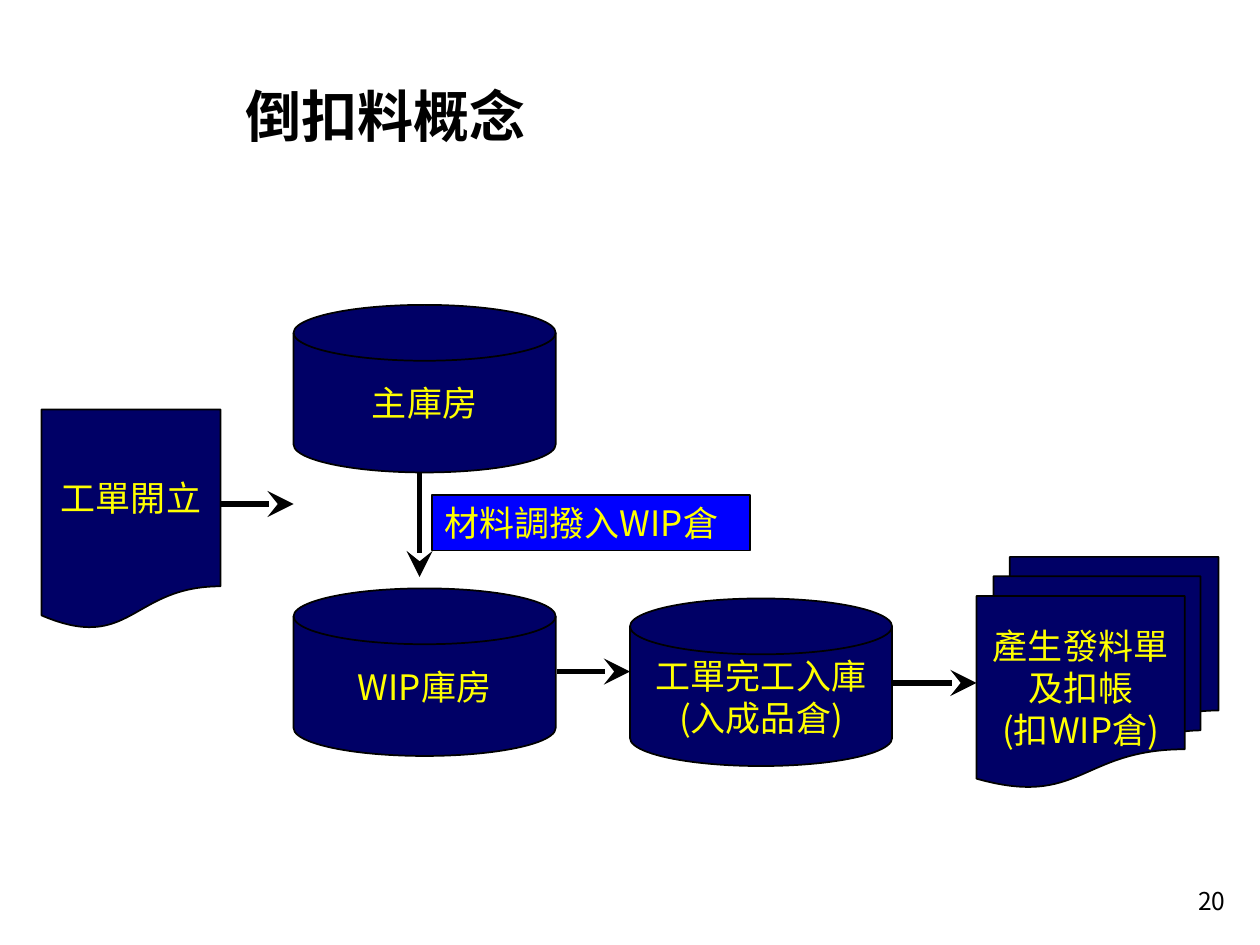
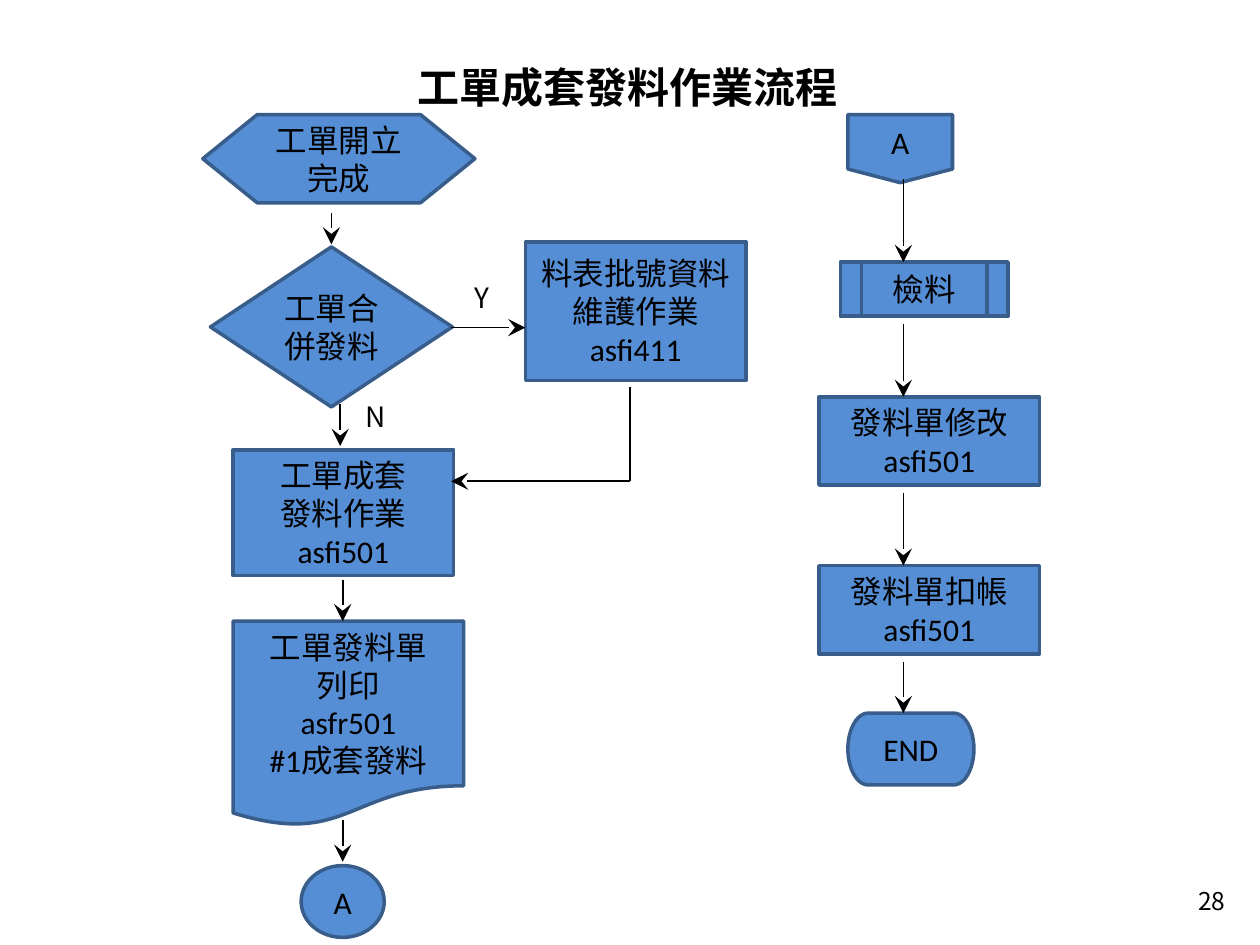
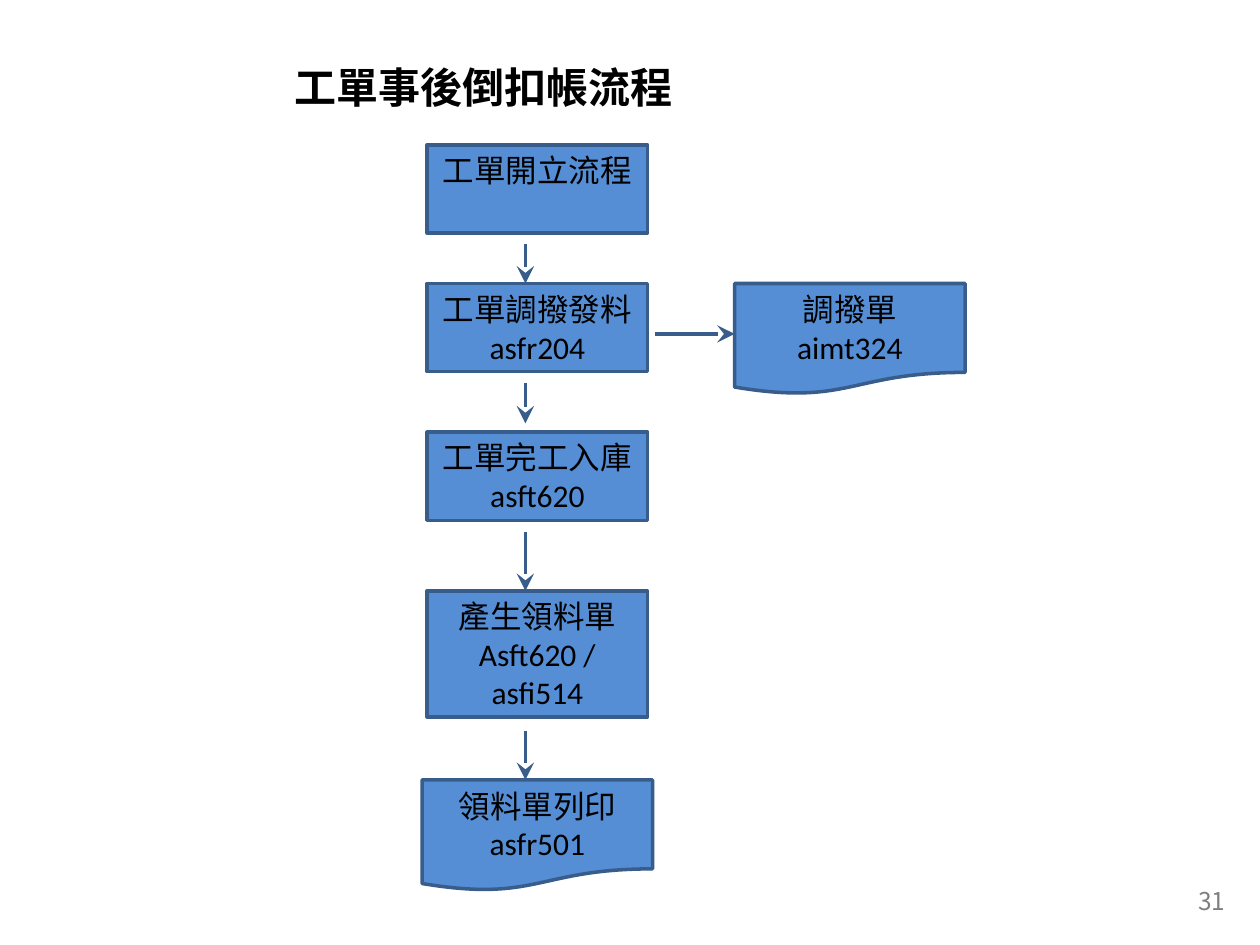
from dataclasses import dataclass

from lxml.etree import SubElement
from pptx import Presentation
from pptx.dml.color import RGBColor
from pptx.enum.shapes import MSO_CONNECTOR as Connector, MSO_SHAPE as Preset
from pptx.enum.text import MSO_ANCHOR as Anchor, MSO_AUTO_SIZE as AutoSize, PP_ALIGN as Align
from pptx.oxml.ns import qn
from pptx.util import Inches, Pt


@dataclass(frozen=True)
class Theme:
    black: str = "000000"
    grey: str = "7F7F7F"
    navy: str = "000066"
    bright_blue: str = "0000FF"
    yellow: str = "FFFF00"
    step_fill: str = "558ED5"
    step_line: str = "385D8A"
    heading_font: str = "Noto Sans CJK TC"
    step_font: str = "Calibri"
    large_title: int = 32
    title: int = 24
    concept: int = 20
    step: int = 18
    branch: int = 16
    page: int = 14
    thin: int = 1
    medium: int = 2
    thick: int = 3


THEME = Theme()


@dataclass(frozen=True)
class Box:
    left: float
    top: float
    width: float
    height: float

    def inner(self, left, top, width, height):
        return Box(self.left + left, self.top + top, width, height)

    def lengths(self):
        return [Inches(value) for value in (self.left, self.top, self.width, self.height)]


def write_text(frame, text, size=THEME.step, color=THEME.black, font=THEME.heading_font,
               bold=False, align=Align.LEFT, anchor=Anchor.TOP, wrap=True):
    frame.auto_size = AutoSize.NONE
    frame.word_wrap = wrap
    frame.vertical_anchor = anchor
    frame.margin_left = frame.margin_right = Inches(0.1)
    frame.margin_top = frame.margin_bottom = Inches(0.05)
    for index, line in enumerate(text.split("\n")):
        paragraph = frame.add_paragraph() if index else frame.paragraphs[0]
        paragraph.alignment = align
        run = paragraph.add_run()
        run.text = line
        run.font.size = Pt(size)
        run.font.bold = bold
        run.font.color.rgb = RGBColor.from_string(color)
        run.font.name = font
        SubElement(run.font._element, qn("a:ea"), typeface=THEME.heading_font)


def add_label(slide, box, text, **text_format):
    label = slide.shapes.add_textbox(*box.lengths())
    write_text(label.text_frame, text, **text_format)


def add_node(slide, preset, box, text, fill, line, line_width, **text_format):
    shape = slide.shapes.add_shape(preset, *box.lengths())
    shape.shadow.inherit = False
    shape.fill.solid()
    shape.fill.fore_color.rgb = RGBColor.from_string(fill)
    shape.line.color.rgb = RGBColor.from_string(line)
    shape.line.width = Pt(line_width)
    write_text(shape.text_frame, text, **text_format)


def add_step(slide, preset, box, text, anchor=Anchor.MIDDLE):
    add_node(slide, preset, box, text, THEME.step_fill, THEME.step_line, THEME.medium,
             font=THEME.step_font, align=Align.CENTER, anchor=anchor)


def add_concept(slide, preset, box, text, fill=THEME.navy, align=Align.CENTER,
                anchor=Anchor.MIDDLE):
    add_node(slide, preset, box, text, fill, THEME.black, THEME.thin, size=THEME.concept,
             color=THEME.yellow, align=align, anchor=anchor, wrap=False)


def add_line(slide, region, start, end, color=THEME.black, width=THEME.thin, arrow=True):
    points = [Inches(value) for x, y in (start, end)
              for value in (region.left + x, region.top + y)]
    connector = slide.shapes.add_connector(Connector.STRAIGHT, *points)
    connector.line.color.rgb = RGBColor.from_string(color)
    connector.line.width = Pt(width)
    if arrow:
        SubElement(connector.line._get_or_add_ln(), qn("a:tailEnd"),
                   type="stealth", w="lg", len="lg")
    SubElement(connector._element.spPr, qn("a:effectLst"))


def add_down_arrows(slide, region, x, spans, **line_format):
    for top, bottom in spans:
        add_line(slide, region, (x, top), (x, bottom), **line_format)


def start_slide(presentation, title, title_box, page, title_size=THEME.title,
                page_color=THEME.black):
    slide = presentation.slides.add_slide(presentation.slide_layouts[5])
    placeholder = slide.shapes.title
    placeholder.left, placeholder.top, placeholder.width, placeholder.height = title_box.lengths()
    write_text(placeholder.text_frame, title, size=title_size, bold=True)
    add_label(slide, Box(9.41, 6.98, 0.59, 0.27), page, size=THEME.page, color=page_color)
    return slide


def draw_backflush_concept(slide, region):
    disk = (2.08, 1.33)
    add_concept(slide, Preset.FLOWCHART_DOCUMENT, region.inner(0, 0.83, 1.42, 1.75), "工單開立")
    for left, top, text in ((2, 0, "主庫房"), (2, 2.25, "WIP庫房"),
                            (4.67, 2.33, "工單完工入庫\n(入成品倉)")):
        add_concept(slide, Preset.FLOWCHART_MAGNETIC_DISK, region.inner(left, top, *disk), text)
    add_concept(slide, Preset.FLOWCHART_MULTIDOCUMENT, region.inner(7.42, 2, 1.92, 1.83),
                "產生發料單\n及扣帳\n(扣WIP倉)")
    for start, end in (((1.42, 1.58), (2, 1.58)), ((3, 1.33), (3, 2.16)),
                       ((4.09, 2.91), (4.67, 2.91)), ((6.75, 3), (7.42, 3))):
        add_line(slide, region, start, end, width=THEME.thick)
    add_concept(slide, Preset.RECTANGLE, region.inner(3.1, 1.51, 2.52, 0.44), "材料調撥入WIP倉",
                fill=THEME.bright_blue, align=Align.LEFT, anchor=Anchor.TOP)


def draw_kit_issue(slide, region):
    for preset, place, text in (
        (Preset.FLOWCHART_PREPARATION, (0, 0, 2.16, 0.7), "工單開立完成"),
        (Preset.FLOWCHART_DECISION, (0.06, 1.05, 1.92, 1.27), "工單合併發料"),
        (Preset.RECTANGLE, (2.56, 1.01, 1.75, 1.1), "料表批號資料維護作業\nasfi411"),
        (Preset.RECTANGLE, (0.24, 2.66, 1.75, 1), "工單成套\n發料作業\nasfi501"),
        (Preset.FLOWCHART_DOCUMENT, (0.24, 4.02, 1.83, 1.63),
         "工單發料單\n列印\nasfr501\n#1成套發料"),
        (Preset.FLOWCHART_CONNECTOR, (0.78, 5.96, 0.66, 0.57), "A"),
    ):
        add_step(slide, preset, region.inner(*place), text)
    for left, top, text in ((2.06, 1.27, "Y"), (1.19, 2.21, "N")):
        add_label(slide, region.inner(left, top, 0.35, 0.37), text, size=THEME.branch, wrap=False)
    add_down_arrows(slide, region, 1.02, [(0.78, 1.03)])
    add_down_arrows(slide, region, 1.09, [(2.3, 2.63)])
    add_down_arrows(slide, region, 1.11, [(3.69, 4.02), (5.6, 5.93)])
    add_line(slide, region, (1.97, 1.69), (2.56, 1.69))
    add_line(slide, region, (3.39, 2.16), (3.39, 2.91), arrow=False)
    add_line(slide, region, (3.39, 2.91), (1.97, 2.91))


def draw_picking(slide, region):
    for preset, place, text in (
        (Preset.FLOWCHART_OFFPAGE_CONNECTOR, (0.23, 0, 0.83, 0.54), "A"),
        (Preset.FLOWCHART_PREDEFINED_PROCESS, (0.17, 1.17, 1.33, 0.43), "檢料"),
        (Preset.RECTANGLE, (0, 2.24, 1.75, 0.7), "發料單修改\nasfi501"),
        (Preset.RECTANGLE, (0, 3.58, 1.75, 0.7), "發料單扣帳\nasfi501"),
        (Preset.FLOWCHART_TERMINATOR, (0.23, 4.75, 1, 0.57), "END"),
    ):
        add_step(slide, preset, region.inner(*place), text)
    add_down_arrows(slide, region, 0.67,
                    [(0.51, 1.17), (1.66, 2.24), (3, 3.58), (4.34, 4.75)])


def draw_backflush_flow(slide, region):
    for top, height, text, anchor in (
        (0, 0.7, "工單開立流程", Anchor.TOP),
        (1.1, 0.7, "工單調撥發料asfr204", Anchor.MIDDLE),
        (2.28, 0.7, "工單完工入庫\nasft620", Anchor.MIDDLE),
        (3.54, 1, "產生領料單\nAsft620 / asfi514", Anchor.MIDDLE),
    ):
        add_step(slide, Preset.RECTANGLE, region.inner(0.04, top, 1.75, height), text, anchor)
    for left, top, text in ((2.48, 1.1, "調撥單\naimt324"), (0, 5.04, "領料單列印\nasfr501")):
        add_step(slide, Preset.FLOWCHART_DOCUMENT, region.inner(left, top, 1.83, 0.88), text)
    arrow_format = dict(color=THEME.step_line, width=THEME.medium)
    add_down_arrows(slide, region, 0.82,
                    [(0.79, 1.1), (1.89, 2.21), (3.07, 3.54), (4.65, 5.04)], **arrow_format)
    add_line(slide, region, (1.85, 1.5), (2.48, 1.5), **arrow_format)


def main():
    presentation = Presentation()
    presentation.slide_width, presentation.slide_height = Inches(10), Inches(7.5)

    concept_slide = start_slide(presentation, "倒扣料概念", Box(1.85, 0.6, 3.35, 0.64), "20",
                                title_size=THEME.large_title)
    draw_backflush_concept(concept_slide, Box(0.33, 2.42, 9.34, 3.83))

    issue_slide = start_slide(presentation, "工單成套發料作業流程", Box(3.21, 0.44, 3.7, 0.5), "28")
    draw_kit_issue(issue_slide, Box(1.61, 0.91, 4.31, 6.53))
    draw_picking(issue_slide, Box(6.5, 0.91, 1.75, 5.32))

    flow_slide = start_slide(presentation, "工單事後倒扣帳流程", Box(2.24, 0.44, 3.4, 0.5), "31",
                             page_color=THEME.grey)
    draw_backflush_flow(flow_slide, Box(3.35, 1.15, 4.31, 5.92))

    presentation.save("out.pptx")


if __name__ == "__main__":
    main()
